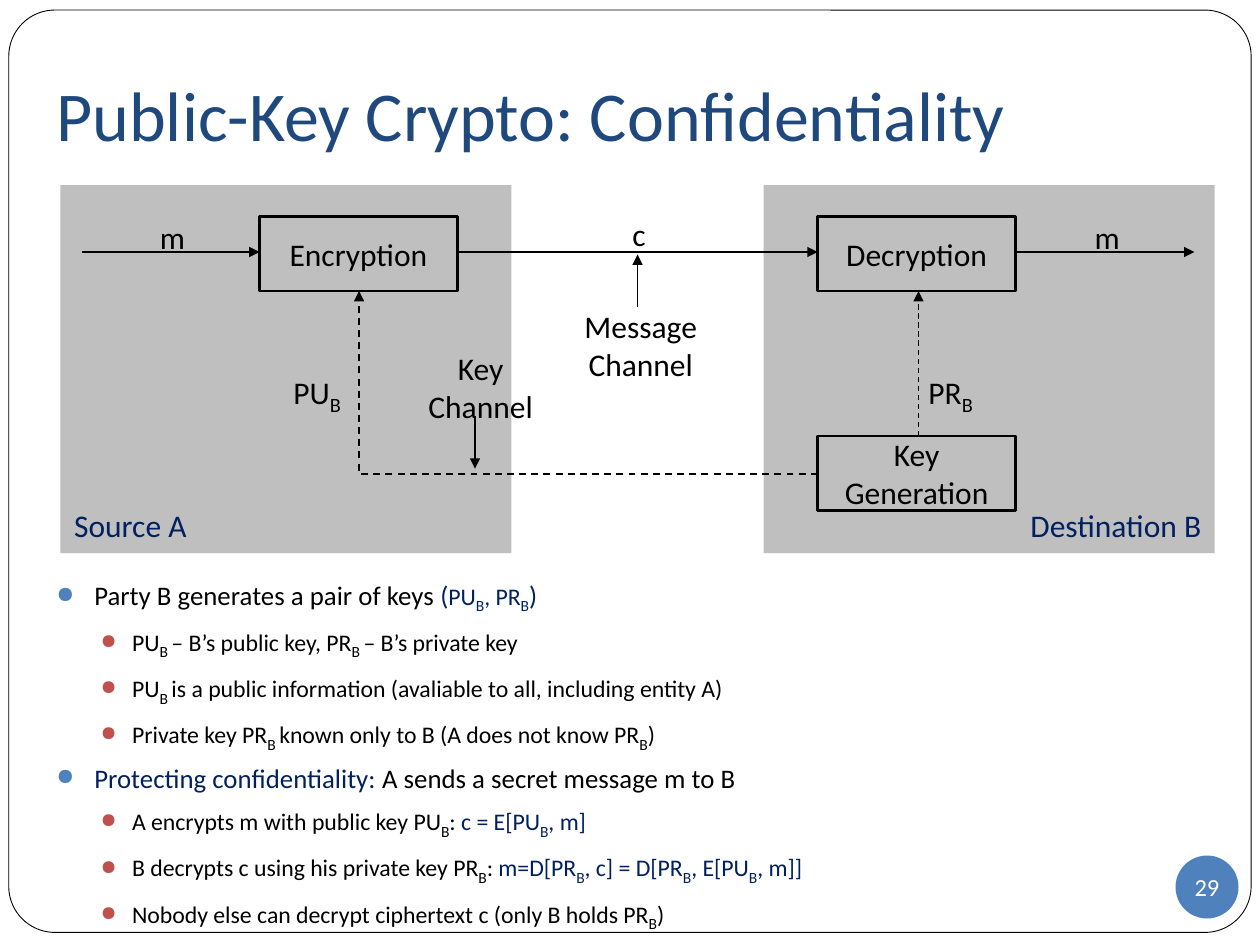
from dataclasses import dataclass
from typing import Iterator, NamedTuple, Optional

from lxml.etree import SubElement
from pptx import Presentation
from pptx.dml.color import RGBColor
from pptx.enum.dml import MSO_LINE
from pptx.enum.shapes import MSO_CONNECTOR, MSO_SHAPE
from pptx.enum.text import MSO_ANCHOR, PP_ALIGN
from pptx.oxml.ns import qn
from pptx.util import Inches, Pt


@dataclass(frozen=True)
class Theme:
    face: str = "Calibri"
    ink: str = "000000"
    navy: str = "002060"
    title: str = "1F497D"
    blue: str = "4F81BD"
    red: str = "C0504D"
    gray: str = "BFBFBF"
    white: str = "FFFFFF"
    head: float = 40
    label: float = 18
    sub: float = 20
    main: float = 15.3
    small: float = 13.6
    page: float = 14


class Box(NamedTuple):
    col: float
    row: float
    cols: float
    rows: float


class Label(NamedTuple):
    text: str
    box: Box
    color: str
    align: PP_ALIGN = PP_ALIGN.LEFT


class Arrow(NamedTuple):
    start: tuple
    end: tuple
    width: float = 1
    dash: bool = False
    bent: bool = False


class Point(NamedTuple):
    level: int
    text: str


class Bit(NamedTuple):
    text: str
    navy: bool
    small: bool
    sub: bool


THEME = Theme()
WIDE, HIGH = Inches(10), Inches(7.5)
COLS, ROWS = 100, 75

BANDS = [Box(col, 14.7, 35.8, 29.2) for col in (4.8, 60.6)]
LEFT, RIGHT, TOP, LOW = 20.6, 64.9, 17.2, 34.6
STEPS = [
    ("Encryption", LEFT, TOP),
    ("Decryption", RIGHT, TOP),
    ("Key Generation", RIGHT, LOW),
]
ARROWS = [
    Arrow((6.5, 20), (LEFT, 20)),
    Arrow((36.4, 20), (RIGHT, 20)),
    Arrow((80.6, 20), (94.8, 20)),
    Arrow((RIGHT, 37.6), (28.5, 23.1), dash=True, bent=True),
    Arrow((50.6, 24.4), (50.6, 20.2), 0.75),
    Arrow((37.7, 33), (37.7, 37.2), 0.75),
    Arrow((72.9, LOW), (72.9, 23.1), 0.75, dash=True),
]
LABELS = [
    Label("m", Box(11.7, 16.8, 4, 4), THEME.ink),
    Label("c", Box(49.2, 16.6, 3, 4), THEME.ink),
    Label("m", Box(85.9, 16.8, 4, 4), THEME.ink),
    Label("PU{B}", Box(22.3, 28.8, 6.4, 4.8), THEME.ink),
    Label("PR{B}", Box(72.7, 28.8, 6.3, 4.8), THEME.ink),
    Label("Message\nChannel", Box(45.4, 23.9, 10.9, 7), THEME.ink, PP_ALIGN.CENTER),
    Label("Key\nChannel", Box(33, 27.2, 10.3, 7), THEME.ink, PP_ALIGN.CENTER),
    Label("Source A", Box(4.9, 39.7, 10.9, 4), THEME.navy),
    Label("Destination B", Box(80.8, 39.7, 15.6, 4), THEME.navy),
]
POINTS = [
    Point(0, "Party B generates a pair of keys |(~PU~{B}~, PR~{B})|"),
    Point(1, "PU{B }– B’s public key, PR{B }– B’s private key"),
    Point(1, "PU{B }is a public information (avaliable to all, including entity A)"),
    Point(1, "Private key PR{B }known only to B (A does not know PR{B})"),
    Point(0, "|Protecting confidentiality:| A sends a secret message m to B"),
    Point(1, "A encrypts m with public key PU{B}: |c = E[PU{B}, m]|"),
    Point(1, "B decrypts c using his private key PR{B}: |m=D[PR{B}, c] = D[PR{B}, E[PU{B}, m]]|"),
    Point(1, "Nobody else can decrypt ciphertext c (only B holds PR{B})"),
]


def across(col: float) -> int:
    return round(WIDE * col / COLS)


def down(row: float) -> int:
    return round(HIGH * row / ROWS)


def place(box: Box) -> tuple:
    return across(box.col), down(box.row), across(box.cols), down(box.rows)


def bits(text: str) -> Iterator[Bit]:
    for navy, tint in enumerate(text.split("|")):
        for small, size in enumerate(tint.split("~")):
            for sub, part in enumerate(size.replace("}", "{").split("{")):
                if part:
                    yield Bit(part, navy % 2 == 1, small % 2 == 1, sub % 2 == 1)


def style(para, size: float, color: str, align=PP_ALIGN.LEFT) -> None:
    para.alignment = align
    font = para.font
    font.name, font.size = THEME.face, Pt(size)
    font.color.rgb = RGBColor.from_string(color)


def write(para, text: str, sub: float) -> None:
    for bit in bits(text):
        run = para.add_run()
        run.text = bit.text
        if bit.navy:
            run.font.color.rgb = RGBColor.from_string(THEME.navy)
        if bit.small:
            run.font.size = Pt(THEME.small)
        if bit.sub:
            run.font.size = Pt(sub)
            run._r.get_or_add_rPr().set("baseline", "-25000")


def shape(slide, kind, box: Box, fill: Optional[str] = None, line: float = 0):
    item = slide.shapes.add_shape(kind, *place(box))
    item.shadow.inherit = False
    if fill:
        item.fill.solid()
        item.fill.fore_color.rgb = RGBColor.from_string(fill)
    else:
        item.fill.background()
    if line:
        item.line.color.rgb = RGBColor.from_string(THEME.ink)
        item.line.width = Pt(line)
    else:
        item.line.fill.background()
    return item


def center(item, text: str, size: float, color: str) -> None:
    frame = item.text_frame
    frame.vertical_anchor = MSO_ANCHOR.MIDDLE
    para = frame.paragraphs[0]
    style(para, size, color, PP_ALIGN.CENTER)
    write(para, text, size)


def label(slide, item: Label) -> None:
    frame = slide.shapes.add_textbox(*place(item.box)).text_frame
    frame.word_wrap = False
    for count, text in enumerate(item.text.split("\n")):
        para = frame.add_paragraph() if count else frame.paragraphs[0]
        style(para, THEME.label, item.color, item.align)
        write(para, text, THEME.sub)


def arrow(slide, item: Arrow) -> None:
    ends = (item.start, item.end)
    if item.bent:
        ends = ends[::-1]
    spots = [f(v) for end in ends for f, v in zip((across, down), end)]
    kind = MSO_CONNECTOR.ELBOW if item.bent else MSO_CONNECTOR.STRAIGHT
    link = slide.shapes.add_connector(kind, *spots)
    link.line.color.rgb = RGBColor.from_string(THEME.ink)
    link.line.width = Pt(item.width)
    if item.dash:
        link.line.dash_style = MSO_LINE.DASH
    props = link._element.spPr
    if item.bent:
        props.find(qn("a:xfrm")).set("rot", "10800000")
        props.find(qn("a:prstGeom")).set("prst", "bentConnector2")
    SubElement(link.line._get_or_add_ln(), qn("a:tailEnd"), type="triangle")
    SubElement(props, qn("a:effectLst"))


def bullet(para, level: int) -> None:
    props = para._p.get_or_add_pPr()
    props.set("marL", str(Inches((0.3, 0.6)[level])))
    props.set("indent", str(-Inches((0.3, 0.25)[level])))
    tint = SubElement(props, qn("a:buClr"))
    SubElement(tint, qn("a:srgbClr"), val=(THEME.blue, THEME.red)[level])
    SubElement(props, qn("a:buSzPct"), val="85000")
    SubElement(props, qn("a:buChar"), char="●")


def points(slide, box: Box) -> None:
    frame = slide.shapes.add_textbox(*place(box)).text_frame
    frame.word_wrap = True
    for count, item in enumerate(POINTS):
        para = frame.add_paragraph() if count else frame.paragraphs[0]
        para.level = item.level
        bullet(para, item.level)
        if count:
            para.space_before = Pt((5, 5.5)[item.level])
        style(para, (THEME.main, THEME.small)[item.level], THEME.ink)
        write(para, item.text, THEME.main)


def main() -> None:
    deck = Presentation()
    deck.slide_width, deck.slide_height = WIDE, HIGH
    slide = deck.slides.add_slide(deck.slide_layouts[6])
    frame = shape(slide, MSO_SHAPE.ROUNDED_RECTANGLE, Box(0.7, 0.8, 98.6, 73.2), THEME.white, 0.5)
    frame.adjustments[0] = 0.05
    head = slide.shapes.add_textbox(*place(Box(3.5, 3, 93.7, 12.5))).text_frame
    head.word_wrap = True
    head.vertical_anchor = MSO_ANCHOR.MIDDLE
    head.margin_bottom = Inches(0.1)
    style(head.paragraphs[0], THEME.head, THEME.title)
    write(head.paragraphs[0], "Public-Key Crypto: Confidentiality", THEME.head)
    points(slide, Box(3.5, 45.4, 93.7, 26.8))
    page = shape(slide, MSO_SHAPE.OVAL, Box(93.3, 67.9, 5, 5), THEME.blue)
    page.text_frame.word_wrap = False
    center(page, "29", THEME.page, THEME.white)
    for band in BANDS:
        shape(slide, MSO_SHAPE.RECTANGLE, band, THEME.gray)
    for text, col, row in STEPS:
        step = shape(slide, MSO_SHAPE.RECTANGLE, Box(col, row, 15.7, 5.9), line=1.5)
        center(step, text, THEME.label, THEME.ink)
    for item in ARROWS:
        arrow(slide, item)
    for item in LABELS:
        label(slide, item)
    deck.save("out.pptx")


if __name__ == "__main__":
    main()
